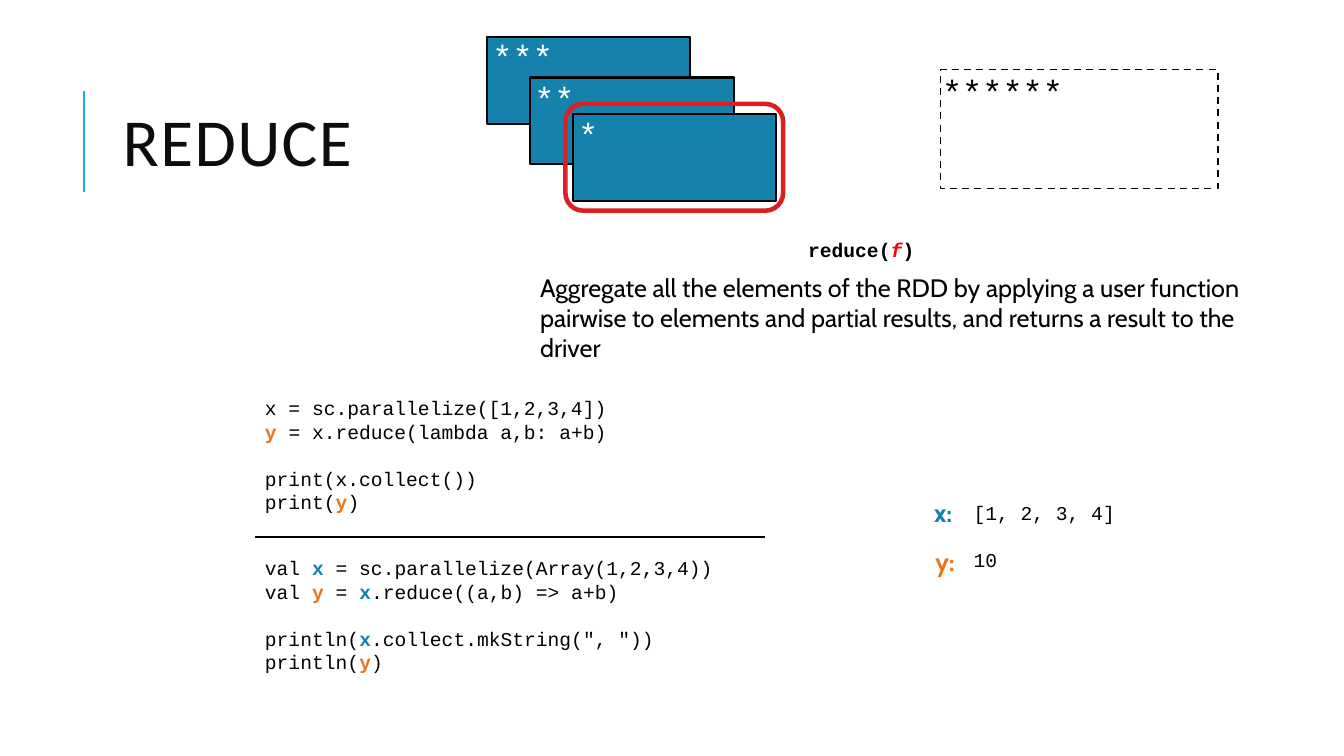
from dataclasses import dataclass
from typing import Optional

from lxml import etree
from pptx import Presentation
from pptx.dml.color import RGBColor
from pptx.enum.dml import MSO_LINE
from pptx.enum.shapes import MSO_CONNECTOR, MSO_SHAPE
from pptx.enum.text import MSO_ANCHOR, MSO_AUTO_SIZE, PP_ALIGN
from pptx.oxml.ns import qn
from pptx.util import Pt

RECTANGLE = MSO_SHAPE.RECTANGLE
ROUNDED = MSO_SHAPE.ROUNDED_RECTANGLE
STRAIGHT = MSO_CONNECTOR.STRAIGHT
DASH = MSO_LINE.DASH
LEFT, CENTER = PP_ALIGN.LEFT, PP_ALIGN.CENTER
TOP, MIDDLE = MSO_ANCHOR.TOP, MSO_ANCHOR.MIDDLE
GROW, FIXED = MSO_AUTO_SIZE.SHAPE_TO_FIT_TEXT, MSO_AUTO_SIZE.NONE


@dataclass(frozen=True)
class Theme:
    black: str = "000000"
    white: str = "FFFFFF"
    title: str = "0D0D0D"
    accent: str = "1CADE4"
    blue: str = "1482AC"
    orange: str = "E8761D"
    argument: str = "FF0000"
    ring: str = "DB1F25"
    heading_font: str = "Calibri"
    body_font: str = "Cabin"
    code_font: str = "Courier New"
    title_size: float = 48
    star_size: float = 24
    body_size: float = 18
    code_size: float = 14
    blank_line: float = 16.8


THEME = Theme()


@dataclass(frozen=True)
class Span:
    text: str
    color: str = THEME.black
    bold: bool = False
    italic: bool = False


@dataclass(frozen=True)
class Line:
    spans: tuple[Span, ...]
    gap: float = 0


@dataclass(frozen=True)
class Area:
    left: float
    top: float
    width: float
    height: float


@dataclass(frozen=True)
class TextBox:
    area: Area
    lines: tuple[Line, ...]
    font: str = THEME.code_font
    size: float = THEME.code_size
    align: PP_ALIGN = LEFT


@dataclass(frozen=True)
class Outline:
    area: Area
    color: str
    weight: float
    fill: Optional[str] = None
    kind: MSO_SHAPE = RECTANGLE
    dashed: bool = False


@dataclass(frozen=True)
class Rule:
    start: tuple[float, float]
    end: tuple[float, float]
    color: str


def one(text: str, color: str = THEME.black, bold: bool = False) -> tuple[Line, ...]:
    return (Line((Span(text, color, bold),)),)


def code(*parts: str, gap: bool = False) -> Line:
    """A code line; the bare parts x and y are highlighted."""
    marks = {"x": THEME.blue, "y": THEME.orange}
    spans = tuple(Span(part, marks.get(part, THEME.black), part in marks) for part in parts)
    return Line(spans, THEME.blank_line if gap else 0)


def add_text(page, item: TextBox):
    area = item.area
    box = page.shapes.add_textbox(Pt(area.left), Pt(area.top), Pt(area.width), Pt(area.height))
    frame = box.text_frame
    frame.word_wrap = True
    frame.auto_size = GROW
    frame.vertical_anchor = TOP
    for index, line in enumerate(item.lines):
        para = frame.add_paragraph() if index else frame.paragraphs[0]
        para.alignment = item.align
        if line.gap:
            para.space_before = Pt(line.gap)
        for span in line.spans:
            run = para.add_run()
            run.text = span.text
            run.font.name = item.font
            run.font.size = Pt(item.size)
            run.font.bold = span.bold
            run.font.italic = span.italic
            run.font.color.rgb = RGBColor.from_string(span.color)
    return box


def add_outline(page, item: Outline) -> None:
    area = item.area
    shape = page.shapes.add_shape(
        item.kind, Pt(area.left), Pt(area.top), Pt(area.width), Pt(area.height))
    shape.shadow.inherit = False
    if item.fill:
        shape.fill.solid()
        shape.fill.fore_color.rgb = RGBColor.from_string(item.fill)
    else:
        shape.fill.background()
    shape.line.color.rgb = RGBColor.from_string(item.color)
    shape.line.width = Pt(item.weight)
    if item.dashed:
        shape.line.dash_style = DASH


def add_rule(page, item: Rule) -> None:
    rule = page.shapes.add_connector(STRAIGHT, *(Pt(value) for value in item.start + item.end))
    rule.line.color.rgb = RGBColor.from_string(item.color)
    rule.line.width = Pt(1.5)
    etree.SubElement(rule._element.spPr, qn("a:effectLst"))


def add_title(page) -> None:
    title = add_text(page, TextBox(Area(80.6, 46, 765.4, 118), one("REDUCE", THEME.title),
                                   THEME.heading_font, THEME.title_size))
    frame = title.text_frame
    frame.auto_size = FIXED
    frame.vertical_anchor = MIDDLE
    para = frame.paragraphs[0]
    para.line_spacing = 0.8
    para.runs[0]._r.get_or_add_rPr().set("spc", "100")


RULES = (
    Rule((59.8, 136.8), (59.8, 64.8), THEME.accent),
    Rule((182.2, 383.8), (546.5, 383.8), THEME.black),
)

PYTHON_CODE = (
    Line((Span("x = sc.parallelize([1,2,3,4])"),)),
    code("y", " = x.reduce(lambda a,b: a+b)"),
    code("print(x.collect())", gap=True),
    code("print(", "y", ")"),
)
SCALA_CODE = (
    code("val ", "x", " = sc.parallelize(Array(1,2,3,4))"),
    code("val ", "y", " = ", "x", ".reduce((a,b) => a+b)"),
    code("println(", "x", '.collect.mkString(", "))', gap=True),
    code("println(", "y", ")"),
)
SIGNATURE = (Line((Span("reduce(", bold=True), Span("f", THEME.argument, True, True),
                   Span(")", bold=True))),)
SUMMARY = ("Aggregate all the elements of the RDD by applying a user function pairwise "
           "to elements and partial results, and returns a result to the driver")

TEXTS = (
    TextBox(Area(660.2, 352, 40.3, 29), one("x:", THEME.blue, True),
            THEME.body_font, THEME.body_size),
    TextBox(Area(661, 386.6, 40.3, 29), one("y:", THEME.orange, True),
            THEME.body_font, THEME.body_size),
    TextBox(Area(570.2, 166.3, 182.2, 24.2), SIGNATURE),
    TextBox(Area(378.7, 190.8, 555.1, 51), one(SUMMARY), THEME.body_font, THEME.body_size),
    TextBox(Area(688.3, 354.2, 286.6, 58), (code("[1, 2, 3, 4]"), code("10", gap=True))),
    TextBox(Area(182.2, 279.4, 489.6, 92), PYTHON_CODE),
    TextBox(Area(182.2, 393.8, 443.5, 92), SCALA_CODE),
)

# Stacked cards, back to front
CARD_CORNERS = ((347.8, 26.6), (378.7, 55.4), (409, 81.4))
OUTLINES = (
    Outline(Area(671.8, 49.7, 198, 85), THEME.black, 1.25, dashed=True),
    *(Outline(Area(left, top, 145.4, 62), THEME.black, 1.5, THEME.blue)
      for left, top in CARD_CORNERS),
    Outline(Area(403.9, 74.2, 155.5, 76.3), THEME.ring, 3.25, kind=ROUNDED),
)


def stars(count: int, area: Area, color: str) -> TextBox:
    return TextBox(area, one("*" * count, color), size=THEME.star_size, align=CENTER)


STARS = (
    stars(6, Area(632.2, 46.8, 167.8, 36), THEME.black),
    stars(1, Area(401.8, 77.8, 36.7, 36), THEME.white),
    stars(2, Area(369.4, 51.8, 53.3, 36), THEME.white),
    stars(3, Area(337.7, 22.3, 71.3, 36), THEME.white),
)


def main() -> None:
    deck = Presentation()
    deck.slide_width, deck.slide_height = Pt(960), Pt(540)
    page = deck.slides.add_slide(deck.slide_layouts[6])

    # Rules, explanation and code
    for rule in RULES:
        add_rule(page, rule)
    for item in TEXTS:
        add_text(page, item)
    add_title(page)

    # Card diagram
    for outline in OUTLINES:
        add_outline(page, outline)
    for item in STARS:
        add_text(page, item)

    deck.save("out.pptx")


if __name__ == "__main__":
    main()
